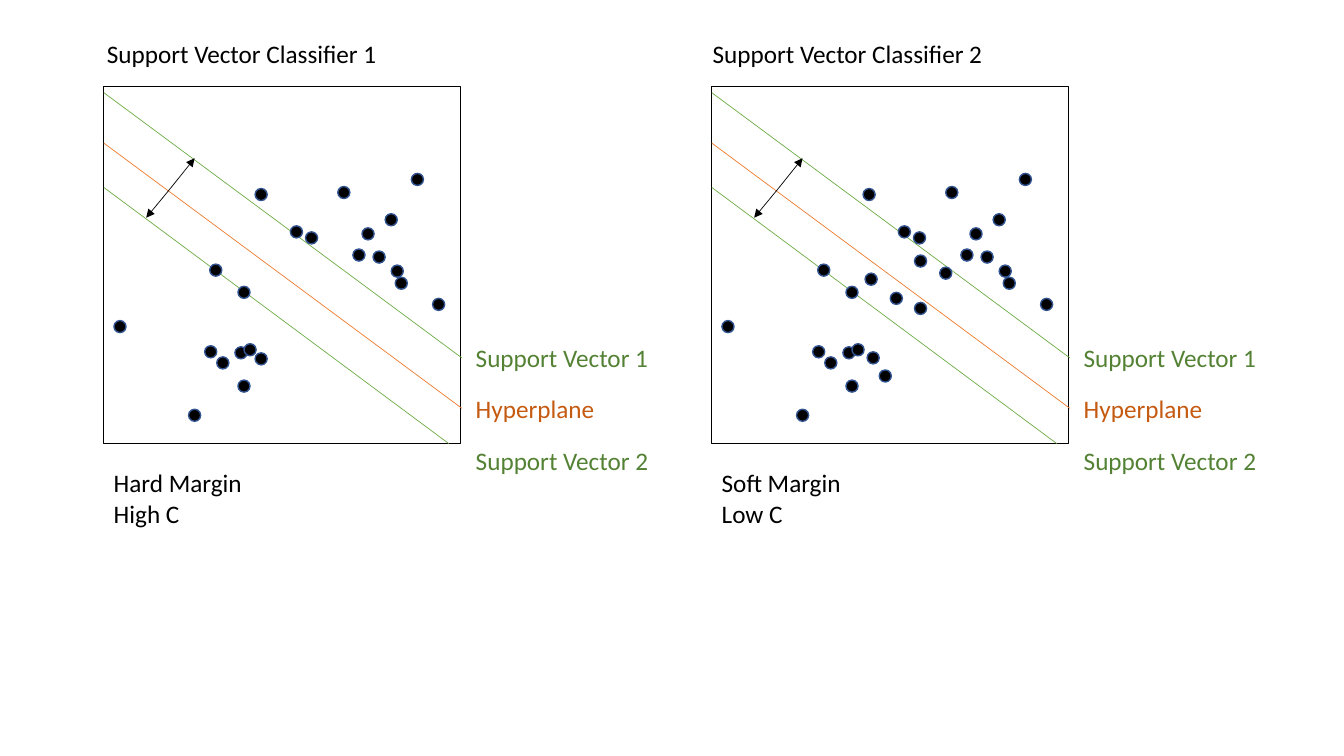
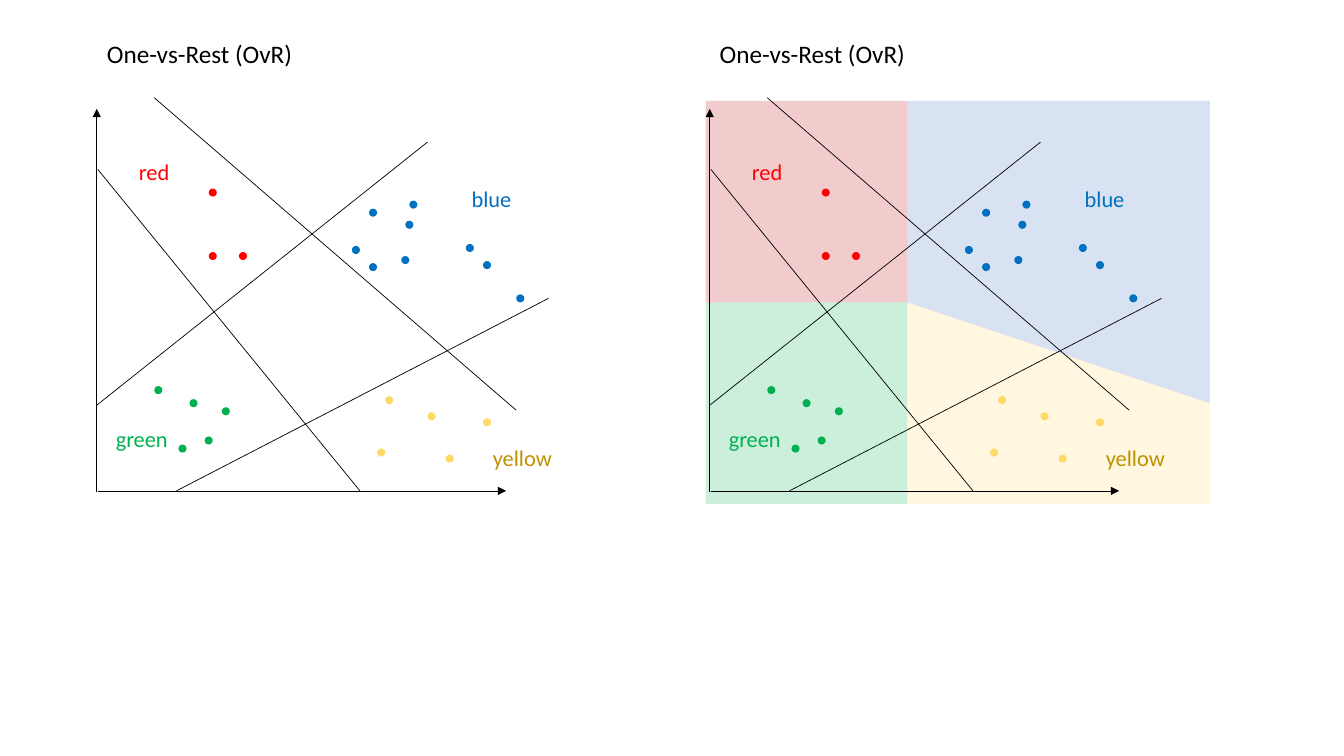
from lxml import etree
from pptx import Presentation
from pptx import util as u
from pptx.dml import color as clr
from pptx.enum import shapes as sh
from pptx.enum import text as tx
from pptx.oxml import ns

BLACK, GREEN, RED, BLUE = "000000", "00B050", "FF0000", "0070C0"
YELLOW = "FFD966"


def rgb(code):
    """Turn a hex string into a colour."""
    return clr.RGBColor.from_string(code)


def sub(parent, tag, **attrs):
    """Append a drawing element to its parent."""
    return etree.SubElement(parent, ns.qn(tag), **attrs)


class Deck:
    """Shared style, the current slide and the left shift of a panel."""

    font, thin, edge = "Calibri", 0.5, 1

    def __init__(self):
        """Start an empty wide deck."""
        self.prs = Presentation()
        self.prs.slide_width = u.Inches(13.33)
        self.prs.slide_height = u.Inches(7.5)
        self.shift = 0

    def page(self):
        """Add a slide that has only a title."""
        self.slide = self.prs.slides.add_slide(self.prs.slide_layouts[5])
        self.shapes = self.slide.shapes

    def box(self, x, y, w, h):
        """Give a frame in lengths, moved to the current panel."""
        return [u.Inches(v) for v in (x + self.shift, y, w, h)]

    def put(self, shape, lines, color, size):
        """Fill a shape with left-aligned paragraphs."""
        frame = shape.text_frame
        frame.text = "\n".join(lines)
        frame.word_wrap = True
        frame.auto_size = tx.MSO_AUTO_SIZE.SHAPE_TO_FIT_TEXT
        frame.vertical_anchor = tx.MSO_ANCHOR.TOP
        for para in frame.paragraphs:
            para.alignment = tx.PP_ALIGN.LEFT
            para.font.name = self.font
            para.font.size = u.Pt(size)
            para.font.color.rgb = rgb(color)

    def title(self, words):
        """Put the slide title above the first panel."""
        shape = self.shapes.title
        shape.left, shape.top, shape.width, shape.height = self.box(0.96, 0.33, 3.17, 0.4)
        self.put(shape, [words], BLACK, 18)

    def label(self, x, y, w, lines, color=BLACK, size=18):
        """Add a text box."""
        high = len(lines) * size / 60 + 0.1
        shape = self.shapes.add_textbox(*self.box(x, y, w, high))
        self.put(shape, lines, color, size)

    def line(self, x1, y1, x2, y2, color=BLACK, arrow=False):
        """Draw a thin line, with an arrowhead at its end if asked."""
        start, end = self.box(x1, y1, 0, 0)[:2], self.box(x2, y2, 0, 0)[:2]
        link = self.shapes.add_connector(sh.MSO_CONNECTOR.STRAIGHT, *start, *end)
        link.line.color.rgb = rgb(color)
        link.line.width = u.Pt(self.thin)
        props = link._element.spPr
        if arrow:
            sub(props.find(ns.qn("a:ln")), "a:tailEnd", type="triangle")
        sub(props, "a:effectLst")

    def shape(self, kind, frame, fill=None, edge=None):
        """Add a preset shape with an optional fill and edge."""
        form = self.shapes.add_shape(kind, *self.box(*frame))
        form.shadow.inherit = False
        if fill:
            form.fill.solid()
            form.fill.fore_color.rgb = rgb(fill)
        else:
            form.fill.background()
        if edge:
            form.line.color.rgb = rgb(edge)
            form.line.width = u.Pt(self.edge)
        else:
            form.line.fill.background()

    def dots(self, spots, size, fill, edge=None):
        """Scatter round dots of one size and colour."""
        for x, y in spots:
            self.shape(sh.MSO_SHAPE.OVAL, (x, y, size, size), fill, edge)

    def region(self, spots, fill):
        """Draw a see-through outline at a fifth of full strength."""
        pen = self.shapes.build_freeform(*spots[0], scale=u.Inches(1))
        pen.add_line_segments(spots[1:], close=True)
        form = pen.convert_to_shape()
        form.shadow.inherit = False
        form.fill.solid()
        form.fill.fore_color.rgb = rgb(fill)
        form.line.fill.background()
        tint = form._element.spPr.find(ns.qn("a:solidFill"))[0]
        sub(tint, "a:alpha", val="20000")


SHARED = [
    (1.13, 3.18), (2.08, 2.62), (2.03, 3.43), (2.36, 2.84), (2.36, 3.77),
    (3.03, 2.3), (2.88, 2.24), (2.53, 1.87), (4.08, 1.72), (3.7, 2.49),
    (3.88, 2.63), (3.35, 1.85), (1.87, 4.06), (2.33, 3.44), (3.5, 2.47),
    (3.82, 2.12), (4.29, 2.96), (2.15, 3.54), (2.42, 3.41), (3.59, 2.26),
    (3.92, 2.75),
]
HARD = [(2.53, 3.5)]
SOFT = [(2.8, 2.9), (2.69, 3.67), (2.57, 3.49), (2.55, 2.71), (3.04, 3),
        (3.29, 2.65), (3.04, 2.53)]
VECTOR, PLANE = "70AD47", "ED7D31"
MARGINS = [(1.42, 4.58, 4.05, PLANE), (0.92, 4.58, 3.55, VECTOR),
           (1.86, 4.45, 4.4, VECTOR)]
KEYS = [("Support Vector 1", 3.35, 2.46, "548235"),
        ("Hyperplane", 3.85, 1.52, "C55A11"),
        ("Support Vector 2", 4.37, 2.12, "548235")]


def margin(deck, extra, notes):
    """Draw one classifier with its margin, dots and labels."""
    deck.shape(sh.MSO_SHAPE.RECTANGLE, (1.03, 0.86, 3.54, 3.54), edge=BLACK)
    for top, right, low, color in MARGINS:
        deck.line(1.03, top, right, low, color)
    for words, y, w, color in KEYS:
        deck.label(4.62, y, w, [words], color)
    for x, y in [(1.93, 1.57), (1.45, 2.16)]:
        deck.line(1.69, 1.87, x, y, arrow=True)
    deck.dots(SHARED + extra, 0.12, BLACK, "325491")
    deck.label(1.03, 4.59, 3.17, notes)


GROUPS = [
    ("blue", 4.58, 1.79, BLUE, BLUE,
     [(4.02, 2.19), (3.66, 2.07), (3.98, 2.54), (4.06, 1.99), (3.49, 2.44),
      (3.66, 2.61), (4.62, 2.42), (4.79, 2.59), (5.12, 2.92)]),
    ("red", 1.28, 1.52, RED, RED, [(2.37, 2.5), (2.07, 2.5), (2.07, 1.87)]),
    ("green", 1.05, 4.17, GREEN, GREEN,
     [(1.53, 3.83), (1.88, 3.96), (1.77, 4.41), (2.03, 4.33), (2.2, 4.04)]),
    ("yellow", 4.79, 4.36, "BF9000", YELLOW,
     [(3.82, 3.93), (4.79, 4.15), (4.24, 4.09), (3.74, 4.45), (4.42, 4.51)]),
]
AXES = [(0.97, 4.87, 5.02, 4.87), (0.96, 4.88, 0.96, 1.08)]
SPLITS = [(4.24, 1.41, 0.96, 4.02), (1.53, 0.97, 5.12, 4.07),
          (0.97, 1.68, 3.57, 4.87), (1.75, 4.87, 5.44, 2.96)]
REGIONS = [
    (YELLOW, [(11.77, 4.83), (11.74, 3.64), (9.16, 3.21), (9.11, 4.85)]),
    ("4472C4", [(9.2, 1.3), (9.15, 3.23), (11.74, 3.65), (11.76, 1.37),
                (9.25, 1.27)]),
    (GREEN, [(7.06, 4.85), (9.12, 4.86), (9.16, 3.23), (7.04, 2.91)]),
    ("C00000", [(9.21, 1.29), (7.05, 1.17), (7.05, 2.9), (9.16, 3.24)]),
]


def classes(deck):
    """Draw the axes, dividing lines and four named groups of dots."""
    for ends in AXES:
        deck.line(*ends, arrow=True)
    for ends in SPLITS:
        deck.line(*ends)
    for name, x, y, ink, fill, spots in GROUPS:
        deck.dots(spots, 0.08, fill)
        deck.label(x, y, 2.46, [name], ink, 16)


deck = Deck()

deck.page()
deck.title("Support Vector Classifier 1")
margin(deck, HARD, ["Hard Margin", "High C"])
deck.shift = 6.03
deck.label(0.94, 0.33, 3.17, ["Support Vector Classifier 2"])
margin(deck, SOFT, ["Soft Margin", "Low C"])

deck.shift = 0
deck.page()
deck.title("One-vs-Rest (OvR)")
for fill, spots in REGIONS:
    deck.region(spots, fill)
classes(deck)
deck.shift = 6.08
deck.label(0.96, 0.33, 3.17, ["One-vs-Rest (OvR)"])
classes(deck)

deck.prs.save("out.pptx")
